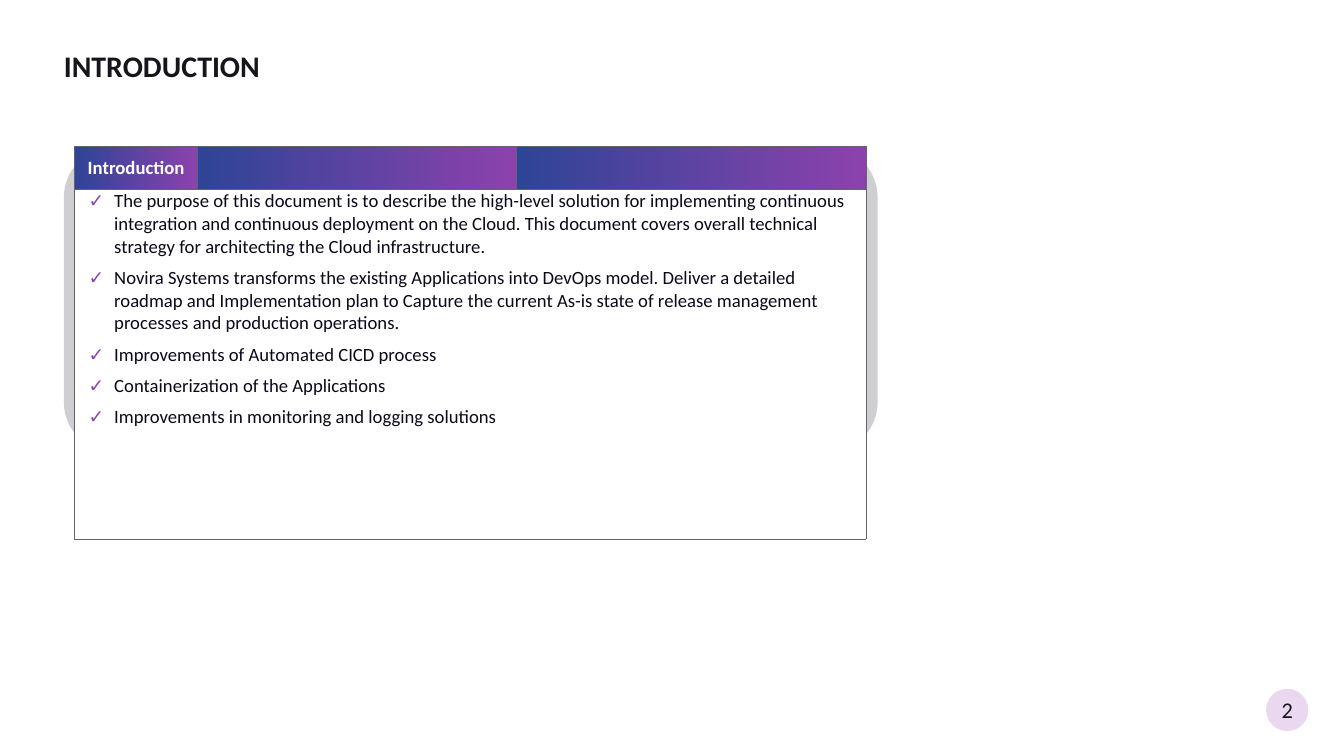
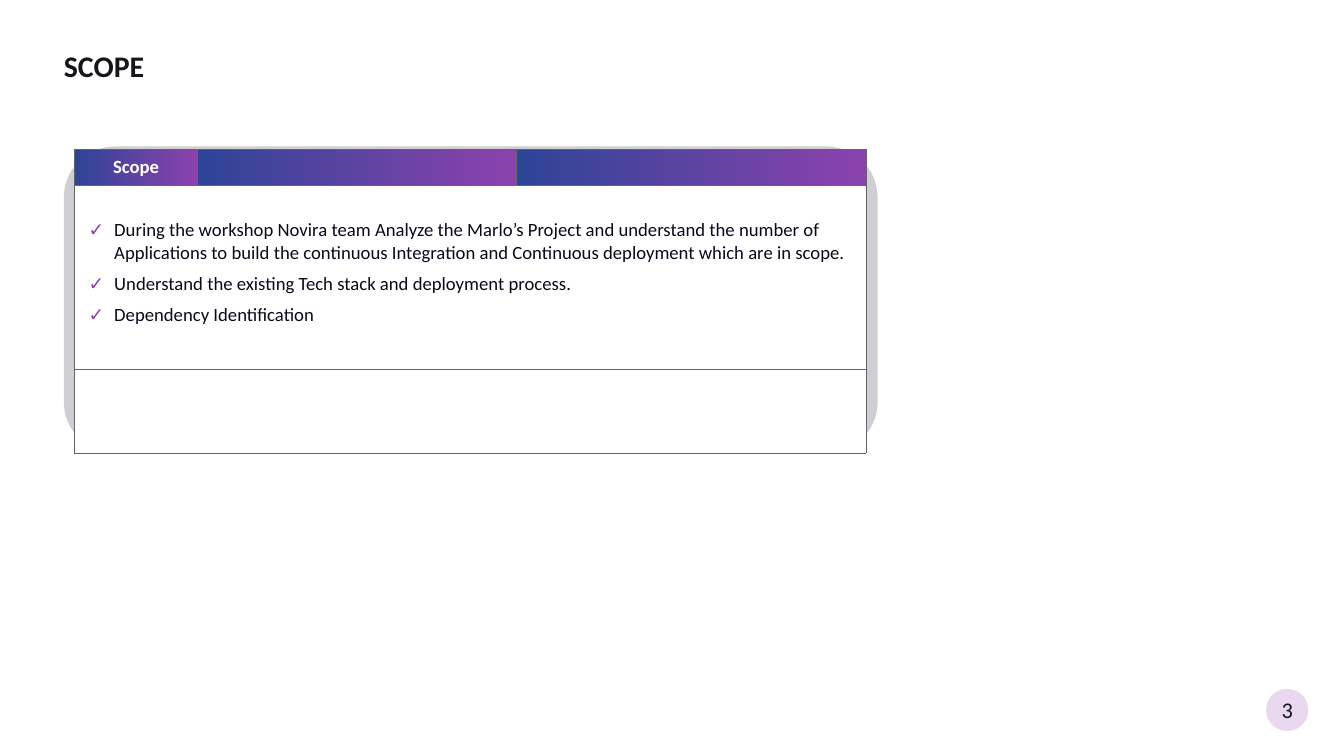
from dataclasses import dataclass

import pptx
import pptx.dml.color
import pptx.enum.shapes
import pptx.enum.text
import pptx.oxml
import pptx.oxml.ns
import pptx.util
from pptx.util import Inches

COLORS = {
    "ink": "15151C",
    "body": "0A091B",
    "white": "FFFFFF",
    "panel": "CECED3",
    "badge": "E9D8F0",
    "border": "63636E",
    "blue": "2E4496",
    "purple": "8C42AD",
}
FONT = "Calibri"
TITLE_FONT = {"name": FONT, "size": pptx.util.Pt(32), "bold": True}
HEADER_FONT = {"name": FONT, "size": pptx.util.Pt(20), "bold": True}
BODY_FONT = {"name": FONT, "size": pptx.util.Pt(20), "bold": False}
NUMBER_FONT = {"name": FONT, "size": pptx.util.Pt(24), "bold": False}
NO_MARGINS = dict.fromkeys(("margin_left", "margin_right", "margin_top", "margin_bottom"), 0)
BULLET_SPACING = {"space_before": pptx.util.Pt(6), "space_after": pptx.util.Pt(3)}
COLUMN_WIDTHS = (1.83, 4.74, 5.21)
TABLE_LEFT = 1.11
MIDDLE = pptx.enum.text.MSO_ANCHOR.MIDDLE
CENTER = pptx.enum.text.PP_ALIGN.CENTER


@dataclass(frozen=True)
class Topic:
    number: int
    title: str
    header: str
    table_top: float
    row_heights: tuple[float, ...]
    text_inset: float
    bullets: tuple[str, ...]


TOPICS = (
    Topic(2, "INTRODUCTION", "Introduction", 2.18, (0.64, 5.2), 0, (
        "The purpose of this document is to describe the high-level solution for "
        "implementing continuous integration and continuous deployment on the Cloud. "
        "This document covers overall technical strategy for architecting the Cloud "
        "infrastructure.",
        "Novira Systems transforms the existing Applications into DevOps model. Deliver "
        "a detailed roadmap and Implementation plan to Capture the current As-is state "
        "of release management processes and production operations.",
        "Improvements of Automated CICD process",
        "Containerization of the Applications",
        "Improvements in monitoring and logging solutions",
    )),
    Topic(3, "SCOPE", "Scope", 2.22, (0.54, 2.73, 1.25), 0.49, (
        "During the workshop Novira team Analyze the Marlo’s Project and understand the "
        "number of Applications to build the continuous Integration and Continuous "
        "deployment which are in scope.",
        "Understand the existing Tech stack and deployment process.",
        "Dependency Identification",
    )),
)


def rgb(name: str) -> pptx.dml.color.RGBColor:
    return pptx.dml.color.RGBColor.from_string(COLORS[name])


def apply_format(target: object, values: dict) -> None:
    for name, value in values.items():
        setattr(target, name, value)


def write(para, text: str, font: dict, color: str) -> None:
    span = para.add_run()
    span.text = text
    apply_format(span.font, font)
    span.font.color.rgb = rgb(color)


def add_plain_shape(page, kind, left: float, top: float, width: float, height: float, color: str):
    shape = page.shapes.add_shape(kind, Inches(left), Inches(top), Inches(width), Inches(height))
    shape.shadow.inherit = False
    shape.fill.solid()
    shape.fill.fore_color.rgb = rgb(color)
    shape.line.fill.background()
    return shape


def set_title(page, text: str) -> None:
    title = page.shapes.title
    apply_format(title, {"left": Inches(0.95), "top": Inches(0.44),
                         "width": Inches(16.95), "height": Inches(1.63)})
    frame = title.text_frame
    apply_format(frame, NO_MARGINS | {
        "word_wrap": True,
        "auto_size": pptx.enum.text.MSO_AUTO_SIZE.NONE,
        "vertical_anchor": pptx.enum.text.MSO_ANCHOR.TOP,
    })
    para = frame.paragraphs[0]
    apply_format(para, {"alignment": pptx.enum.text.PP_ALIGN.LEFT,
                        "line_spacing": pptx.util.Pt(58)})
    write(para, text, TITLE_FONT, "ink")


def add_page_number(page, number: int) -> None:
    badge = add_plain_shape(page, pptx.enum.shapes.MSO_SHAPE.OVAL,
                            18.84, 10.25, 0.63, 0.63, "badge")
    apply_format(badge.text_frame, NO_MARGINS | {"vertical_anchor": MIDDLE})
    para = badge.text_frame.paragraphs[0]
    para.alignment = CENTER
    write(para, str(number), NUMBER_FONT, "ink")


def add_borders(cell) -> None:
    properties = cell._tc.get_or_add_tcPr()
    for position, side in enumerate(("lnL", "lnR", "lnT", "lnB")):
        line = pptx.oxml.parse_xml(
            f'<a:{side} {pptx.oxml.ns.nsdecls("a")} w="{pptx.util.Pt(0.5)}"><a:solidFill>'
            f'<a:srgbClr val="{COLORS["border"]}"/></a:solidFill></a:{side}>')
        properties.insert(position, line)


def add_check_mark(para) -> None:
    """Give the paragraph a purple check bullet with a hanging indent."""
    properties = para._p.get_or_add_pPr()
    properties.set("marL", str(Inches(0.57)))
    properties.set("indent", str(Inches(-0.38)))
    for content in (f'buClr {{}}><a:srgbClr val="{COLORS["purple"]}"/></a:buClr>',
                    'buFont {} typeface="Arial"/>',
                    'buChar {} char="✓"/>'):
        properties.append(pptx.oxml.parse_xml("<a:" + content.format(pptx.oxml.ns.nsdecls("a"))))


def fill_header(cell) -> None:
    cell.fill.gradient()
    cell.fill.gradient_angle = 0
    for stop, color in zip(cell.fill.gradient_stops, ("blue", "purple")):
        stop.color.rgb = rgb(color)
    cell.vertical_anchor = MIDDLE


def write_bullets(cell, topic: Topic) -> None:
    apply_format(cell, NO_MARGINS | {
        "margin_left": Inches(0.02),
        "margin_right": Inches(0.02),
        "margin_top": Inches(topic.text_inset),
    })
    frame = cell.text_frame
    for index, text in enumerate(topic.bullets):
        para = frame.add_paragraph() if index else frame.paragraphs[0]
        apply_format(para, BULLET_SPACING)
        add_check_mark(para)
        write(para, text, BODY_FONT, "body")


def add_topic_table(page, topic: Topic) -> None:
    table = page.shapes.add_table(
        len(topic.row_heights), len(COLUMN_WIDTHS), Inches(TABLE_LEFT), Inches(topic.table_top),
        Inches(sum(COLUMN_WIDTHS)), Inches(sum(topic.row_heights))).table
    apply_format(table, {"first_row": False, "horz_banding": False})
    for column, width in zip(table.columns, COLUMN_WIDTHS):
        column.width = Inches(width)
    for index, height in enumerate(topic.row_heights):
        row = table.rows[index]
        row.height = Inches(height)
        for cell in row.cells:
            if index == 0:
                fill_header(cell)
            else:
                cell.fill.solid()
                cell.fill.fore_color.rgb = rgb("white")
            add_borders(cell)
        if index:
            table.cell(index, 0).merge(table.cell(index, len(COLUMN_WIDTHS) - 1))
    header = table.cell(0, 0).text_frame.paragraphs[0]
    header.alignment = CENTER
    write(header, topic.header, HEADER_FONT, "white")
    write_bullets(table.cell(1, 0), topic)


def add_topic_page(deck, topic: Topic) -> None:
    page = deck.slides.add_slide(deck.slide_layouts.get_by_name("Title Only"))
    add_page_number(page, topic.number)
    set_title(page, topic.title)
    add_plain_shape(page, pptx.enum.shapes.MSO_SHAPE.ROUNDED_RECTANGLE,
                    0.95, 2.18, 12.11, 4.56, "panel")
    add_topic_table(page, topic)


def main() -> None:
    deck = pptx.Presentation()
    apply_format(deck, {"slide_width": Inches(20), "slide_height": Inches(11.25)})
    for topic in TOPICS:
        add_topic_page(deck, topic)
    deck.save("out.pptx")


if __name__ == "__main__":
    main()
